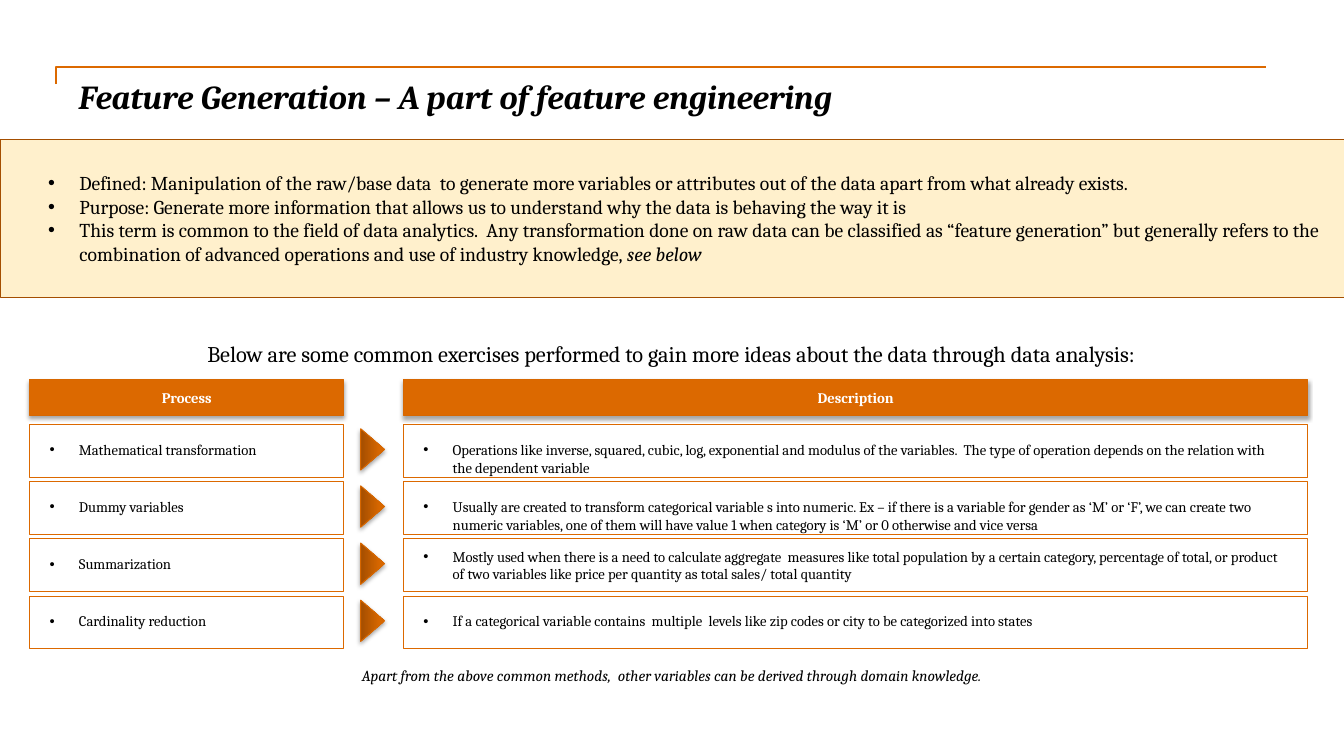
from dataclasses import dataclass

from lxml import etree
from pptx import Presentation
from pptx.dml.color import RGBColor
from pptx.enum.shapes import MSO_SHAPE
from pptx.enum.text import MSO_ANCHOR, PP_ALIGN
from pptx.oxml.ns import qn
from pptx.util import Cm, Pt

RECT, ARROW = MSO_SHAPE.RECTANGLE, MSO_SHAPE.ISOSCELES_TRIANGLE
TOP, MIDDLE = MSO_ANCHOR.TOP, MSO_ANCHOR.MIDDLE
LEFT, CENTER = PP_ALIGN.LEFT, PP_ALIGN.CENTER


@dataclass(frozen=True)
class Theme:
    font: str = "Cambria"
    ink: str = "000000"
    white: str = "FFFFFF"
    main: str = "DC6900"
    edge: str = "D76700"
    dark: str = "A44E00"
    cream: str = "FFF0CC"
    title: float = 24
    intro: float = 16
    body: float = 14
    note: float = 11
    cell: float = 10.5


T = Theme()

# Content
TITLE = "Feature Generation – A part of feature engineering"
POINTS = [
    ["Defined: Manipulation of the raw/base data  to generate more variables or "
     "attributes out of the data apart from what already exists."],
    ["Purpose: Generate more information that allows us to understand why the data "
     "is behaving the way it is"],
    ["This term is common to the field of data analytics.  Any transformation done on "
     "raw data can be classified as “feature generation” but generally refers to the "
     "combination of advanced operations and use of industry knowledge, ", "see below"],
]
INTRO = ("Below are some common exercises performed to gain more ideas about the data "
         "through data analysis:")
HEADS = ("Process", "Description")
ROWS = [  # process, description, anchor of the description
    ("Mathematical transformation",
     "Operations like inverse, squared, cubic, log, exponential and modulus of the "
     "variables.  The type of operation depends on the relation with the dependent "
     "variable", TOP),
    ("Dummy variables",
     "Usually are created to transform categorical variable s into numeric. Ex – if "
     "there is a variable for gender as ‘M’ or ‘F’, we can create two numeric "
     "variables, one of them will have value 1 when category is ‘M’ or 0 otherwise "
     "and vice versa", TOP),
    ("Summarization",
     "Mostly used when there is a need to calculate aggregate  measures like total "
     "population by a certain category, percentage of total, or product of two "
     "variables like price per quantity as total sales/ total quantity", MIDDLE),
    ("Cardinality reduction",
     "If a categorical variable contains  multiple  levels like zip codes or city to "
     "be categorized into states", TOP),
]
NOTE = ("Apart from the above common methods,  other variables can be derived through "
        "domain knowledge.")

# Layout, in cm
WIDE, HIGH = 33.87, 19.05
COLS = ((0.75, 7.91), (10.17, 22.79))  # left, width
HEAD_Y, HEAD_H = 9.57, 0.9
ROW_Y, ROW_H, STEP = 10.7, 1.33, 1.44
TIP_X, TIP_W, TIP_H = 9.39, 1.04, 0.6  # centre and size before turning


def rgb(code):
    return RGBColor.from_string(code)


def place(shape, x, y, w, h):
    shape.left, shape.top, shape.width, shape.height = map(Cm, (x, y, w, h))


def line(shape, color, width):
    shape.line.color.rgb = rgb(color)
    shape.line.width = Pt(width)


def frame(shape, anchor, inset_x, inset_y):
    box = shape.text_frame
    box.word_wrap = True
    box.vertical_anchor = anchor
    box.margin_left = box.margin_right = Cm(inset_x)
    box.margin_top = box.margin_bottom = Cm(inset_y)
    return box


def style(par, size, color=T.ink, align=LEFT, bold=False, italic=False):
    par.alignment = align
    par.space_before = Pt(0)
    for run in par.runs:
        font = run.font
        font.name, font.size, font.color.rgb = T.font, Pt(size), rgb(color)
        font.bold, font.italic = bold, italic


def bullet(par, indent, hang):
    props = par._p.get_or_add_pPr()
    props.set("marL", str(Cm(indent)))
    props.set("indent", str(-Cm(hang)))
    etree.SubElement(props, qn("a:buFont"), typeface="Arial")
    etree.SubElement(props, qn("a:buChar"), char="•")


def shade(shape):
    fx = shape._element.spPr.find(qn("a:effectLst"))
    cast = etree.SubElement(fx, qn("a:outerShdw"), blurRad=str(Pt(3.1)),
                            dist=str(Pt(1.8)), dir="5400000", rotWithShape="0")
    tone = etree.SubElement(cast, qn("a:srgbClr"), val=T.ink)
    etree.SubElement(tone, qn("a:alpha"), val="35000")


def add(kind, x, y, w, h, edge):
    shape = slide.shapes.add_shape(kind, Cm(x), Cm(y), Cm(w), Cm(h))
    shape.shadow.inherit = False
    line(shape, edge, 0.75)
    return shape


def label(text, x, y, w, h, size, inset=(0, 0), italic=False):
    box = slide.shapes.add_textbox(Cm(x), Cm(y), Cm(w), Cm(h))
    words = frame(box, TOP, *inset)
    words.text = text
    style(words.paragraphs[0], size, align=CENTER, italic=italic)


def head(text, x, w):
    bar = add(RECT, x, HEAD_Y, w, HEAD_H, T.edge)
    bar.fill.solid()
    bar.fill.fore_color.rgb = rgb(T.main)
    shade(bar)
    words = frame(bar, MIDDLE, 0.2, 0.1)
    words.text = text
    style(words.paragraphs[0], T.cell, T.white, CENTER, bold=True)


def cell(text, x, y, w, anchor):
    box = add(RECT, x, y, w, ROW_H, T.main)
    box.fill.background()
    words = frame(box, anchor, 0.5, 0.41)
    words.text = text
    par = words.paragraphs[0]
    style(par, T.cell)
    par.space_before = Pt(6)
    bullet(par, 0.74, 0.74)


def arrow(y):
    tip = add(ARROW, TIP_X - TIP_W / 2, y - TIP_H / 2, TIP_W, TIP_H, T.edge)
    tip.rotation = 90
    tip.fill.gradient()
    tip.fill.gradient_angle = 90
    for stop, color, spot in zip(tip.fill.gradient_stops, (T.dark, T.edge), (0, 0.8)):
        stop.color.rgb, stop.position = rgb(color), spot
    shade(tip)


deck = Presentation()
deck.slide_width, deck.slide_height = Cm(WIDE), Cm(HIGH)
slide = deck.slides.add_slide(deck.slide_layouts[1])
title, band = slide.placeholders

# Title and its corner rule
pen = slide.shapes.build_freeform(Cm(1.41), Cm(2.12))
pen.add_line_segments([(Cm(1.41), Cm(1.69)), (Cm(31.9), Cm(1.69))], close=False)
rule = pen.convert_to_shape()
rule.shadow.inherit = False
rule.fill.background()
line(rule, T.main, 1)

place(title, 1.98, 1.91, 29.92, 2.54)
words = frame(title, TOP, 0, 0)
words.text = TITLE
style(words.paragraphs[0], T.title, bold=True, italic=True)

# Definition band
place(band, 0, 3.51, WIDE, 3.97)
band.fill.solid()
band.fill.fore_color.rgb = rgb(T.cream)
line(band, T.dark, 0.25)
words = frame(band, MIDDLE, 0.25, 0.13)
words.text = "\n".join(point[0] for point in POINTS)
for par, point in zip(words.paragraphs, POINTS):
    for extra in point[1:]:
        par.add_run().text = extra
    style(par, T.body)
    for run in par.runs[1:]:
        run.font.italic = True
    bullet(par, 1.75, 0.79)

# Process and description grid
label(INTRO, 1.5, 8.58, 30.84, 0.9, T.intro)
for text, (x, w) in zip(HEADS, COLS):
    head(text, x, w)
for i, (name, about, anchor) in enumerate(ROWS):
    y = ROW_Y + i * STEP
    for text, (x, w), hold in zip((name, about), COLS, (TOP, anchor)):
        cell(text, x, y, w, hold)
    arrow(y + ROW_H / 2 - 0.04)

# Closing note
label(NOTE, 0.3, 16.66, 33.27, 0.74, T.note, (0.25, 0.13), italic=True)

deck.save("out.pptx")
